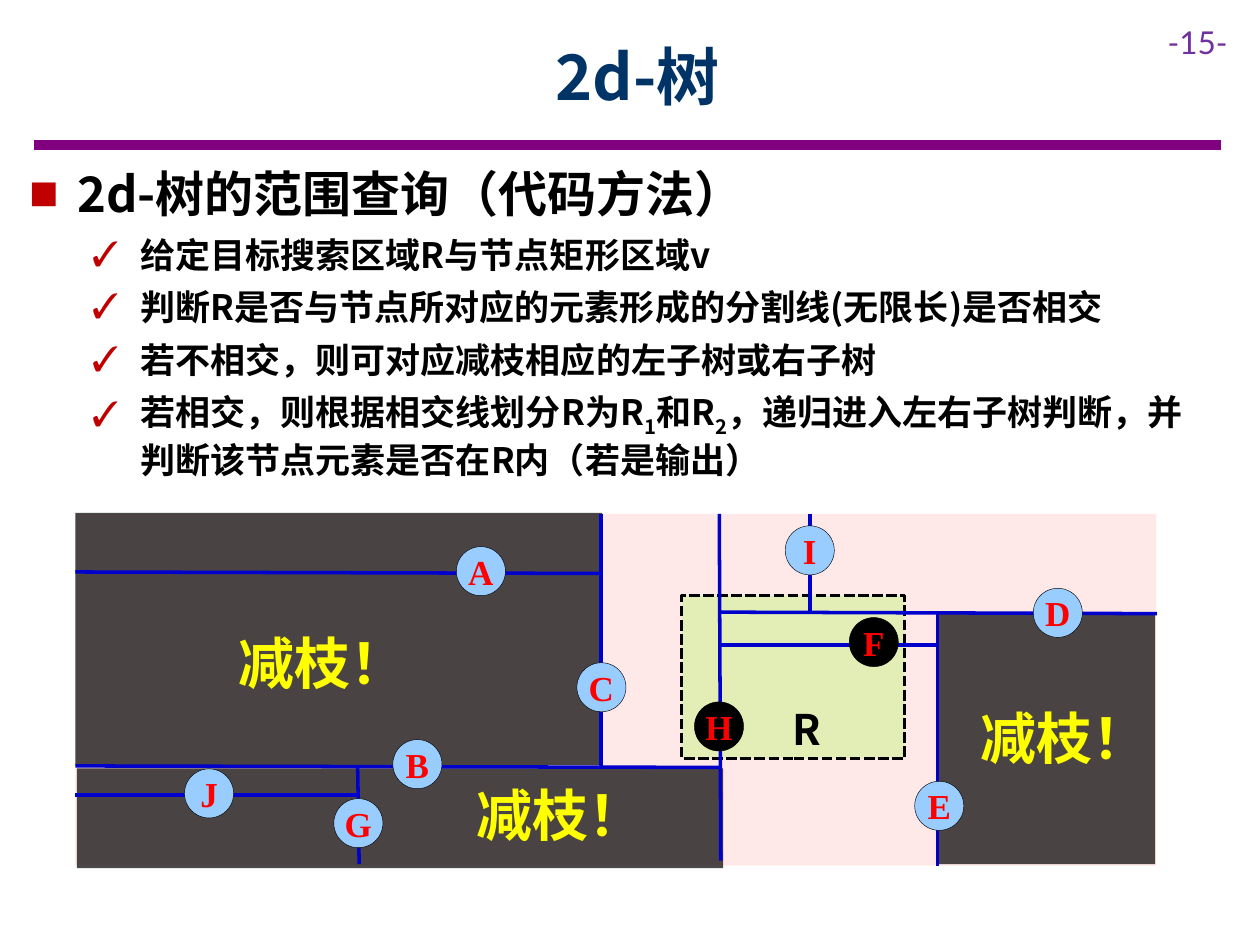
import pptx
import pptx.util
import pptx.dml.color
import pptx.enum.dml
import pptx.enum.shapes
import pptx.enum.text
import pptx.oxml.ns
import lxml.etree

Cm, Pt = pptx.util.Cm, pptx.util.Pt
RGB = pptx.dml.color.RGBColor.from_string
KIND = pptx.enum.shapes.MSO_SHAPE
TEXT = pptx.enum.text
qn = pptx.oxml.ns.qn
SANS, SERIF = "Noto Sans CJK SC", "Times New Roman"
HUES = {"rule": "800080", "page": "7030A0", "title": "003366",
        "black": "000000", "mark": "C00000", "pink": "FFCCCC",
        "green": "99FF33", "split": "0000CC", "node": "99CCFF",
        "name": "FF0000", "cut": "FFFF00"}

deck = pptx.Presentation()
deck.slide_width, deck.slide_height = Cm(25.4), Cm(19.05)
slide = deck.slides.add_slide(deck.slide_layouts[5])
shapes = slide.shapes


def put(para, text, size, hue, font=SANS, bold=True):
    """Add one styled run to a paragraph."""
    run = para.add_run()
    run.text = text
    run.font.size, run.font.bold, run.font.name = Pt(size), bold, font
    run.font.color.rgb = RGB(HUES[hue])
    east = lxml.etree.SubElement(run._r.get_or_add_rPr(), qn("a:ea"))
    east.set("typeface", font)
    return run


def block(kind, box, hue, alpha=100):
    """Add a filled shape without line or shadow."""
    shape = shapes.add_shape(kind, *map(Cm, box))
    shape.shadow.inherit = False
    shape.fill.solid()
    shape.fill.fore_color.rgb = RGB(HUES[hue])
    shape.line.fill.background()
    if alpha < 100:
        tint = shape.fill._xPr.find(".//" + qn("a:srgbClr"))
        lxml.etree.SubElement(tint, qn("a:alpha")).set("val", str(alpha * 1000))
    return shape


# Title
title = shapes.title
title.left, title.top, title.width, title.height = map(Cm, (2.29, 0.25, 21.13, 2.54))
title.text_frame.vertical_anchor = TEXT.MSO_ANCHOR.MIDDLE
para = title.text_frame.paragraphs[0]
para.alignment = TEXT.PP_ALIGN.CENTER
put(para, "2d-树", 36, "title")

# Page number
page = shapes.add_textbox(*map(Cm, (23.29, 0.33, 2.11, 1.02)))
page.text_frame.word_wrap = True
put(page.text_frame.paragraphs[0], "-15-", 18, "page", "Lato", False)

# Bullets: level and runs, where digits alone are subscripts
points = [
    (0, ["2d-树的范围查询（代码方法）"]),
    (1, ["给定目标搜索区域R与节点矩形区域v"]),
    (1, ["判断R是否与节点所对应的元素形成的分割线(无限长)是否相交"]),
    (1, ["若不相交，则可对应减枝相应的左子树或右子树"]),
    (1, ["若相交，则根据相交线划分R为R", "1", "和R", "2",
         "，递归进入左右子树判断，并判断该节点元素是否在R内（若是输出）"]),
]
body = shapes.add_textbox(*map(Cm, (0.34, 3.18, 23.93, 9.07)))
frame = body.text_frame
frame.word_wrap = True
for spot, (level, runs) in enumerate(points):
    para = frame.add_paragraph() if spot else frame.paragraphs[0]
    para.level = level
    para.space_after = Pt(6)
    props = para._p.get_or_add_pPr()
    props.set("marL", str(Cm((0.97, 2.24)[level])))
    props.set("indent", str(-Cm(0.97)))
    tint = lxml.etree.SubElement(props, qn("a:buClr"))
    lxml.etree.SubElement(tint, qn("a:srgbClr")).set("val", HUES["mark"])
    lxml.etree.SubElement(props, qn("a:buFont")).set("typeface", SERIF)
    lxml.etree.SubElement(props, qn("a:buChar")).set("char", "■✓"[level])
    for text in runs:
        run = put(para, text, (28, 20)[level], "black")
        if text.isdigit():
            run.font._element.set("baseline", "-25000")

# Plane and pruned regions
block(KIND.RECTANGLE, (1.52, 10.36, 21.79, 7.09), "pink", 44)
for box in [(1.55, 15.49, 13.03, 2.01), (1.52, 10.34, 10.62, 5.08),
            (18.9, 12.37, 4.39, 5.05)]:
    block(KIND.RECTANGLE, box, "black", 71)

# Query range
query = block(KIND.RECTANGLE, (13.74, 12.01, 4.5, 3.28), "green", 27)
query.line.color.rgb = RGB(HUES["black"])
query.line.width = Pt(2)
query.line.dash_style = pptx.enum.dml.MSO_LINE.SQUARE_DOT

# Title rule and splitting lines
lines = [(0.69, 2.92, 24.61, 2.92, "rule", 6)]
lines += [ends + ("split", 2) for ends in [
    (14.5, 10.36, 14.53, 17.35), (14.53, 15.47, 1.52, 15.44),
    (23.32, 12.37, 14.53, 12.34), (18.9, 12.34, 18.9, 17.45),
    (12.12, 10.36, 12.12, 15.44), (7.21, 15.44, 7.24, 17.42),
    (7.24, 16.03, 1.52, 16.03), (18.9, 13, 14.53, 13),
    (16.33, 10.36, 16.33, 12.34), (12.12, 11.56, 1.52, 11.53)]]
for *ends, hue, width in lines:
    line = shapes.add_connector(pptx.enum.shapes.MSO_CONNECTOR.STRAIGHT, *map(Cm, ends))
    line.line.color.rgb = RGB(HUES[hue])
    line.line.width = Pt(width)
    lxml.etree.SubElement(line._element.spPr, qn("a:effectLst"))

# Nodes; those inside the range are black
nodes = {"D": (20.83, 11.86), "E": (18.44, 15.75), "B": (7.92, 14.91),
         "G": (6.73, 16.1), "J": (3.72, 15.5), "I": (15.83, 10.6),
         "C": (11.63, 13.36), "F": (17.12, 12.45), "H": (14, 14.15),
         "A": (9.2, 11.02)}
for name, (x, y) in nodes.items():
    node = block(KIND.ROUNDED_RECTANGLE, (x, y, 0.99, 0.99),
                 "black" if name in "FH" else "node")
    node.adjustments[0] = 0.5
    node.line.color.rgb = RGB(HUES["black"])
    node.line.width = Pt(0.25)
    frame = node.text_frame
    frame.margin_left = frame.margin_right = 0
    frame.margin_top = frame.margin_bottom = Cm(0.25)
    frame.vertical_anchor = TEXT.MSO_ANCHOR.MIDDLE
    frame.paragraphs[0].alignment = TEXT.PP_ALIGN.CENTER
    put(frame.paragraphs[0], name, 20, "name", SERIF)

# Region labels
for text, box, size, hue in [
        ("R", (15.72, 14.05, 1.12, 1.27), 24, "black"),
        ("减枝！", (9.35, 15.6, 3.94, 1.63), 32, "cut"),
        ("减枝！", (4.55, 12.55, 3.94, 1.63), 32, "cut"),
        ("减枝！", (19.52, 14.05, 3.94, 1.63), 32, "cut")]:
    label = shapes.add_textbox(*map(Cm, box))
    label.text_frame.word_wrap = False
    put(label.text_frame.paragraphs[0], text, size, hue)

deck.save("out.pptx")
